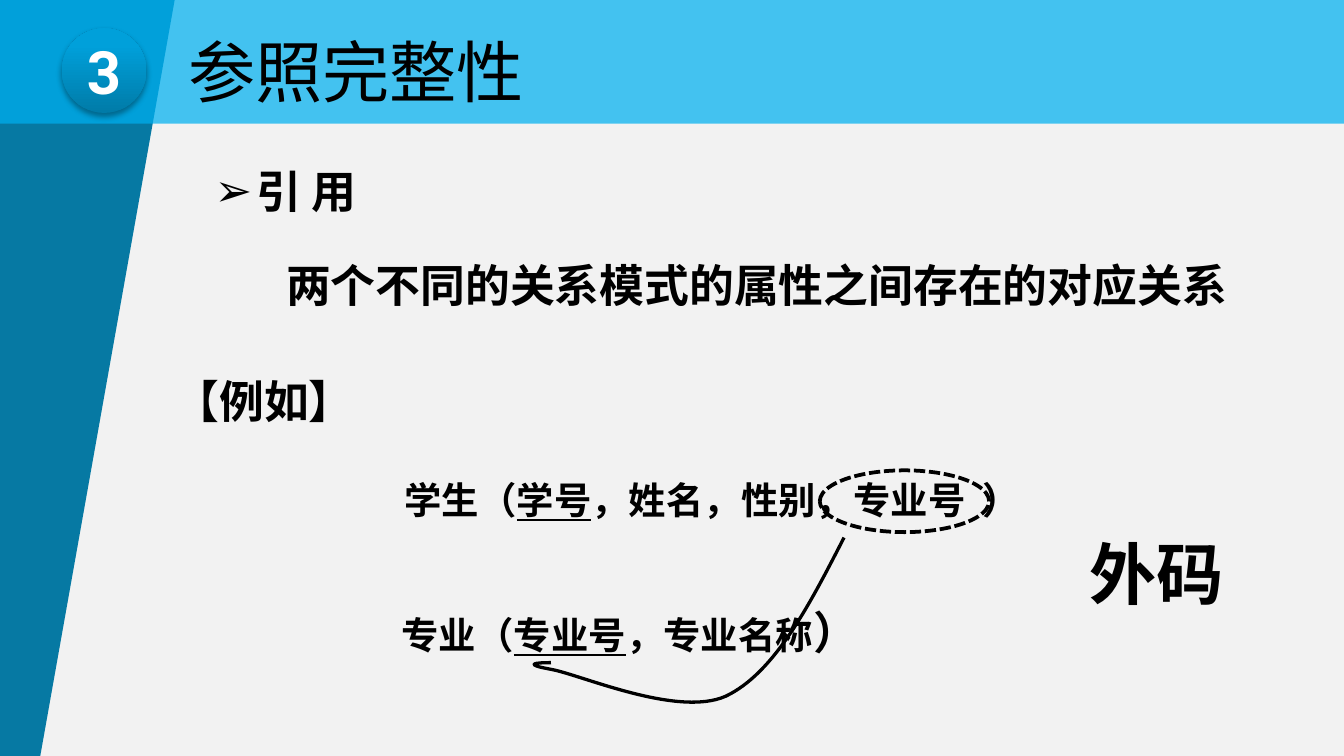
from lxml import etree
from pptx import Presentation
from pptx import util as u
from pptx.dml.color import RGBColor
from pptx.enum import dml, shapes, text
from pptx.oxml import ns, parse_xml

Pt = u.Pt
WIDTH, HEIGHT = 720, 405
CJK, LATIN, NUMBER = "Noto Sans CJK SC", "Arial", "Roboto"
COLORS = {"background": "F2F2F2", "side": "0679A3", "band": "00B0F0",
          "ink": "000000", "white": "FFFFFF"}
BADGE_STOPS = [(0, "007BA8"), (80, "00A0DA"), (100, "00A0DB")]

# Content: box as left, top, width, height; runs as text and format
TITLE = "参照完整性"
TITLE_BOX = (93.6, 4.3, 253.4, 67)
TEXTS = [
    {"box": (169.2, 252, 424.8, 31.5), "size": 20,
     "runs": [("学生（", {}), ("学号", {"underline": True}),
              ("，姓名，性别，专业号  ）", {})]},
    {"box": (164.9, 320.4, 344.9, 36), "size": 20,
     "runs": [("专业（", {}), ("专业号", {"underline": True}),
              ("，专业名称", {}), ("）", {"size": 24})]},
    {"box": (570.2, 281.5, 98.6, 51), "size": 36, "runs": [("外码", {})]},
    {"box": (93.6, 84.2, 118.8, 36), "size": 24, "font": LATIN, "bullet": "➢",
     "runs": [("引 用", {})]},
    {"box": (141.8, 134.6, 527, 36), "size": 24,
     "runs": [("两个不同的关系模式的属性之间存在的对应关系", {})]},
    {"box": (82.1, 196.6, 118.8, 36), "size": 24, "runs": [("【例如】", {})]},
]
SIDE_PANEL = [(0, 0), (93.6, 0), (21.6, HEIGHT), (0, HEIGHT)]
BAND_BOX = (0, 0, WIDTH, 66.3)
BADGE_BOX = (33.1, 15.1, 45.4, 45.4)
KEY_RING_BOX = (439.2, 252, 90.7, 33.1)
# Curve from the foreign key to the referenced key: bounds, start, Bezier triples
CURVE_BOX = (286.6, 288, 165.6, 87.8)
CURVE_START = (452.2, 288)
CURVE_SEGMENTS = [
    [(433.4, 324.7), (414.7, 360.7), (388.8, 373)],
    [(362.9, 384.5), (311, 361.4), (295.2, 358.6)],
    [(279.4, 355.7), (287.3, 355), (295.2, 355)],
]


def color(name):
    return RGBColor.from_string(COLORS[name])


def lengths(box):
    return [Pt(value) for value in box]


def write(shape, runs, size, font=CJK, bold=True, ink="ink", bullet=None,
          align=text.PP_ALIGN.CENTER, anchor=text.MSO_ANCHOR.TOP,
          fit=text.MSO_AUTO_SIZE.NONE, inset=None):
    frame = shape.text_frame
    frame.word_wrap, frame.auto_size, frame.vertical_anchor = True, fit, anchor
    if inset is not None:
        frame.margin_left = frame.margin_right = Pt(inset)
        frame.margin_top = frame.margin_bottom = Pt(inset)
    paragraph = frame.paragraphs[0]
    paragraph.alignment = align
    if bullet:
        properties = paragraph._p.get_or_add_pPr()
        properties.set("marL", str(Pt(22.5)))
        properties.set("indent", str(-Pt(22.5)))
        etree.SubElement(properties, ns.qn("a:buFont"), typeface=LATIN)
        etree.SubElement(properties, ns.qn("a:buChar"), char=bullet)
    for words, extra in runs:
        run = paragraph.add_run()
        run.text = words
        run.font.size = Pt(extra.get("size", size))
        run.font.name, run.font.bold = font, bold
        run.font.underline = extra.get("underline", False)
        run.font.color.rgb = color(ink)
        run.font._element.find(ns.qn("a:latin")).addnext(
            parse_xml(f'<a:ea {ns.nsdecls("a")} typeface="{CJK}"/>'))


def add_shape(slide, kind, box, fill=None, line=None):
    shape = slide.shapes.add_shape(kind, *lengths(box))
    style(shape, fill, line)
    return shape


def style(shape, fill=None, line=None):
    shape.shadow.inherit = False
    if fill:
        shape.fill.solid()
        shape.fill.fore_color.rgb = color(fill)
    else:
        shape.fill.background()
    if line:
        shape.line.color.rgb = color("ink")
        shape.line.width = Pt(line)
    else:
        shape.line.fill.background()


def add_outline(slide, points, close=True):
    builder = slide.shapes.build_freeform(*lengths(points[0]))
    builder.add_line_segments([lengths(point) for point in points[1:]], close=close)
    return builder.convert_to_shape()


def add_curve(slide, box, start, segments, line):
    left, top, width, height = box
    shape = add_outline(slide, [(left, top), (left + width, top + height)], close=False)
    style(shape, line=line)
    outline = shape.element.find(".//" + ns.qn("a:path"))
    for child in list(outline):
        outline.remove(child)
    for tag, points in [("a:moveTo", [start])] + [("a:cubicBezTo", s) for s in segments]:
        step = etree.SubElement(outline, ns.qn(tag))
        for x, y in points:
            etree.SubElement(step, ns.qn("a:pt"), x=str(Pt(x - left)), y=str(Pt(y - top)))


def add_badge(slide):
    badge = add_shape(slide, shapes.MSO_SHAPE.OVAL, BADGE_BOX, fill="side")
    properties = badge.element.spPr
    stops = "".join(f'<a:gs pos="{position * 1000}"><a:srgbClr val="{value}"/></a:gs>'
                    for position, value in BADGE_STOPS)
    properties.replace(properties.find(ns.qn("a:solidFill")), parse_xml(
        f'<a:gradFill {ns.nsdecls("a")}><a:gsLst>{stops}</a:gsLst>'
        '<a:lin ang="16200000" scaled="0"/></a:gradFill>'))
    properties.find(ns.qn("a:effectLst")).append(parse_xml(
        f'<a:outerShdw {ns.nsdecls("a")} blurRad="{Pt(3.1)}" dist="{Pt(1.8)}" '
        'dir="5400000" algn="t" rotWithShape="0"><a:srgbClr val="000000">'
        '<a:alpha val="35000"/></a:srgbClr></a:outerShdw>'))
    write(badge, [("3", {})], 32, font=NUMBER, ink="white",
          anchor=text.MSO_ANCHOR.MIDDLE, inset=0)


def main():
    presentation = Presentation()
    presentation.slide_width, presentation.slide_height = Pt(WIDTH), Pt(HEIGHT)
    slide = presentation.slides.add_slide(presentation.slide_layouts[5])
    slide.background.fill.solid()
    slide.background.fill.fore_color.rgb = color("background")

    # Side panel and translucent header band
    style(add_outline(slide, SIDE_PANEL), fill="side")
    band = add_shape(slide, shapes.MSO_SHAPE.RECTANGLE, BAND_BOX, fill="band")
    band_color = band.element.spPr.find(ns.qn("a:solidFill"))[0]
    etree.SubElement(band_color, ns.qn("a:alpha"), val="72000")

    # Title, raised above the band
    title = slide.shapes.title
    title.left, title.top, title.width, title.height = lengths(TITLE_BOX)
    write(title, [(TITLE, {})], 36, font=LATIN, bold=False,
          align=text.PP_ALIGN.LEFT, anchor=text.MSO_ANCHOR.MIDDLE)
    band.element.addnext(title.element)
    add_badge(slide)

    # Definition and example
    for item in TEXTS:
        options = {key: value for key, value in item.items() if key != "box"}
        write(slide.shapes.add_textbox(*lengths(item["box"])),
              fit=text.MSO_AUTO_SIZE.SHAPE_TO_FIT_TEXT, **options)

    # Foreign key ring and its reference
    ring = add_shape(slide, shapes.MSO_SHAPE.OVAL, KEY_RING_BOX, line=2)
    ring.line.dash_style = dml.MSO_LINE.SQUARE_DOT
    add_curve(slide, CURVE_BOX, CURVE_START, CURVE_SEGMENTS, line=1.75)

    presentation.save("out.pptx")


if __name__ == "__main__":
    main()
